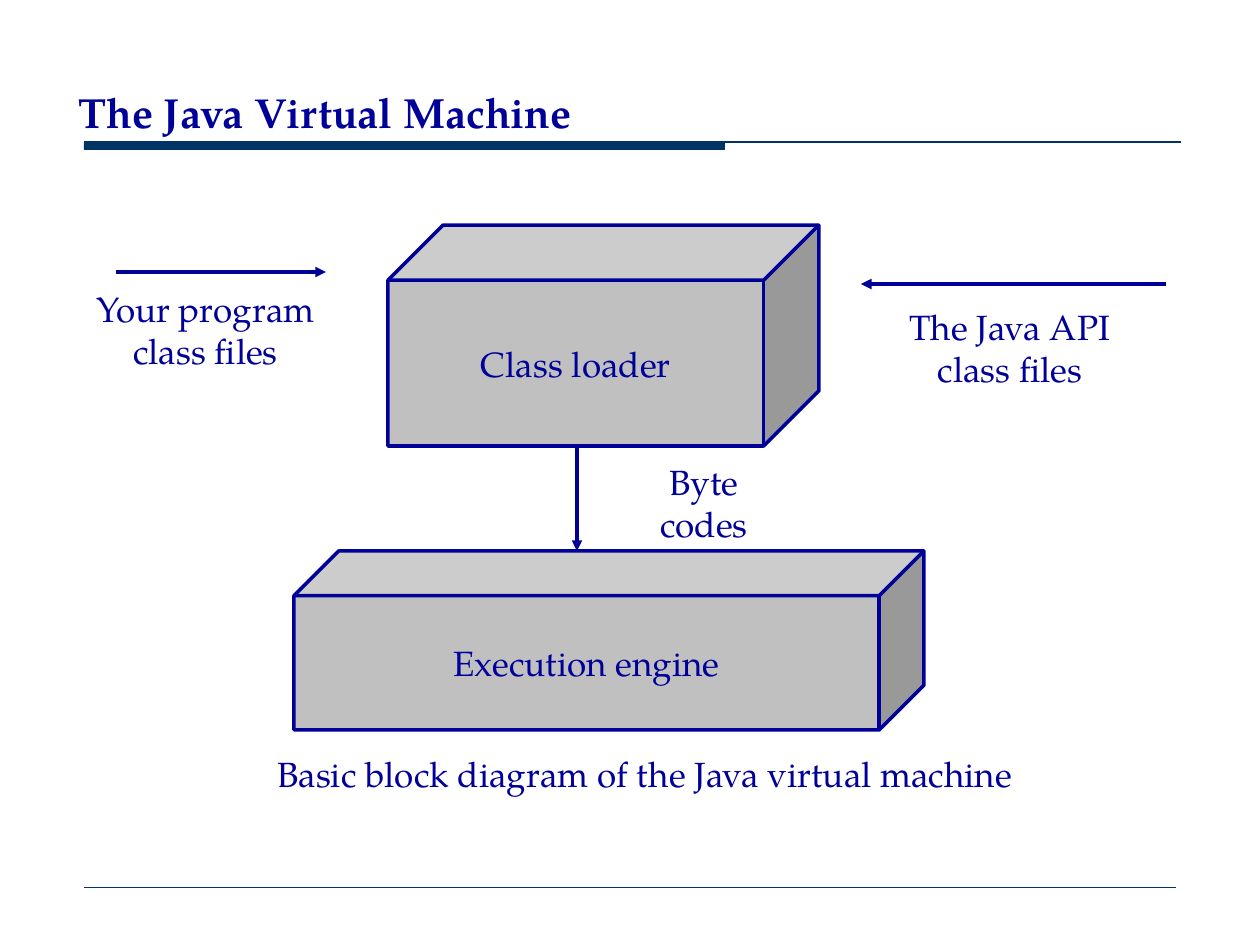
from lxml import etree
from pptx import Presentation
from pptx.dml.color import RGBColor
from pptx.enum.shapes import MSO_CONNECTOR, MSO_SHAPE
from pptx.enum.text import MSO_ANCHOR, PP_ALIGN
from pptx.oxml.ns import qn
from pptx.util import Emu, Pt

STRAIGHT = MSO_CONNECTOR.STRAIGHT
RECTANGLE, CUBE = MSO_SHAPE.RECTANGLE, MSO_SHAPE.CUBE
MIDDLE = MSO_ANCHOR.MIDDLE
LEFT, CENTER = PP_ALIGN.LEFT, PP_ALIGN.CENTER

BLUE = RGBColor(0x00, 0x00, 0x99)
NAVY = RGBColor(0x00, 0x33, 0x66)
SILVER = RGBColor(0xC0, 0xC0, 0xC0)
FONT = "TeX Gyre Pagella"
PX_PER_INCH = 126


def px(n):
    return Emu(round(n * 914400 / PX_PER_INCH))


def box(*lengths):
    return [px(n) for n in lengths]


def set_text(sp, text, size=20, bold=False, align=CENTER, wrap=False):
    tf = sp.text_frame
    tf.text = text
    tf.word_wrap = wrap
    tf.vertical_anchor = MIDDLE
    for p in tf.paragraphs:
        p.alignment = align
        p.font.name = FONT
        p.font.size = Pt(size)
        p.font.bold = bold
        p.font.color.rgb = BLUE


def add_title(s, text, x, y, w, h):
    sp = s.shapes.title
    sp.left, sp.top, sp.width, sp.height = box(x, y, w, h)
    set_text(sp, text, size=24, bold=True, align=LEFT, wrap=True)


def add_line(s, x1, y1, x2, y2, color, width):
    line = s.shapes.add_connector(STRAIGHT, *box(x1, y1, x2, y2))
    line.line.color.rgb = color
    line.line.width = Pt(width)
    etree.SubElement(line._element.spPr, qn("a:effectLst"))
    return line


def add_arrow(s, x1, y1, x2, y2):
    arrow = add_line(s, x1, y1, x2, y2, BLUE, 2)
    etree.SubElement(arrow.line._get_or_add_ln(), qn("a:tailEnd"), type="triangle")


def add_bar(s, x, y, w, h):
    sp = s.shapes.add_shape(RECTANGLE, *box(x, y, w, h))
    sp.shadow.inherit = False
    sp.fill.solid()
    sp.fill.fore_color.rgb = NAVY
    sp.line.fill.background()


def add_cube(s, text, x, y, w, h):
    sp = s.shapes.add_shape(CUBE, *box(x, y, w, h))
    sp.shadow.inherit = False
    sp.fill.solid()
    sp.fill.fore_color.rgb = SILVER
    sp.line.color.rgb = BLUE
    sp.line.width = Pt(2)
    set_text(sp, text)


def add_label(s, text, x, y, w, h, wrap=False):
    set_text(s.shapes.add_textbox(*box(x, y, w, h)), text, wrap=wrap)


def main():
    prs = Presentation()
    prs.slide_width, prs.slide_height = box(1260, 945)
    s = prs.slides.add_slide(prs.slide_layouts[5])

    add_bar(s, 84, 142, 641, 8)
    add_line(s, 84, 142, 1181, 142, NAVY, 0.75)
    add_line(s, 84, 887, 1176, 887, NAVY, 0.25)
    add_title(s, "The Java Virtual Machine", 66, 78, 607, 68)

    add_cube(s, "Class loader", 388, 225, 431, 221)
    add_cube(s, "Execution engine", 294, 551, 630, 179)

    add_arrow(s, 577, 446, 577, 551)
    add_arrow(s, 116, 272, 326, 272)
    add_arrow(s, 1166, 284, 861, 284)

    add_label(s, "The Java API\nclass files", 896, 299, 228, 97)
    add_label(s, "Your program\nclass files", 82, 281, 247, 97)
    add_label(s, "Byte codes", 609, 475, 190, 55)
    add_label(s, "Basic block diagram of the Java virtual machine",
              94, 746, 1102, 55, wrap=True)

    prs.save("out.pptx")


if __name__ == "__main__":
    main()
